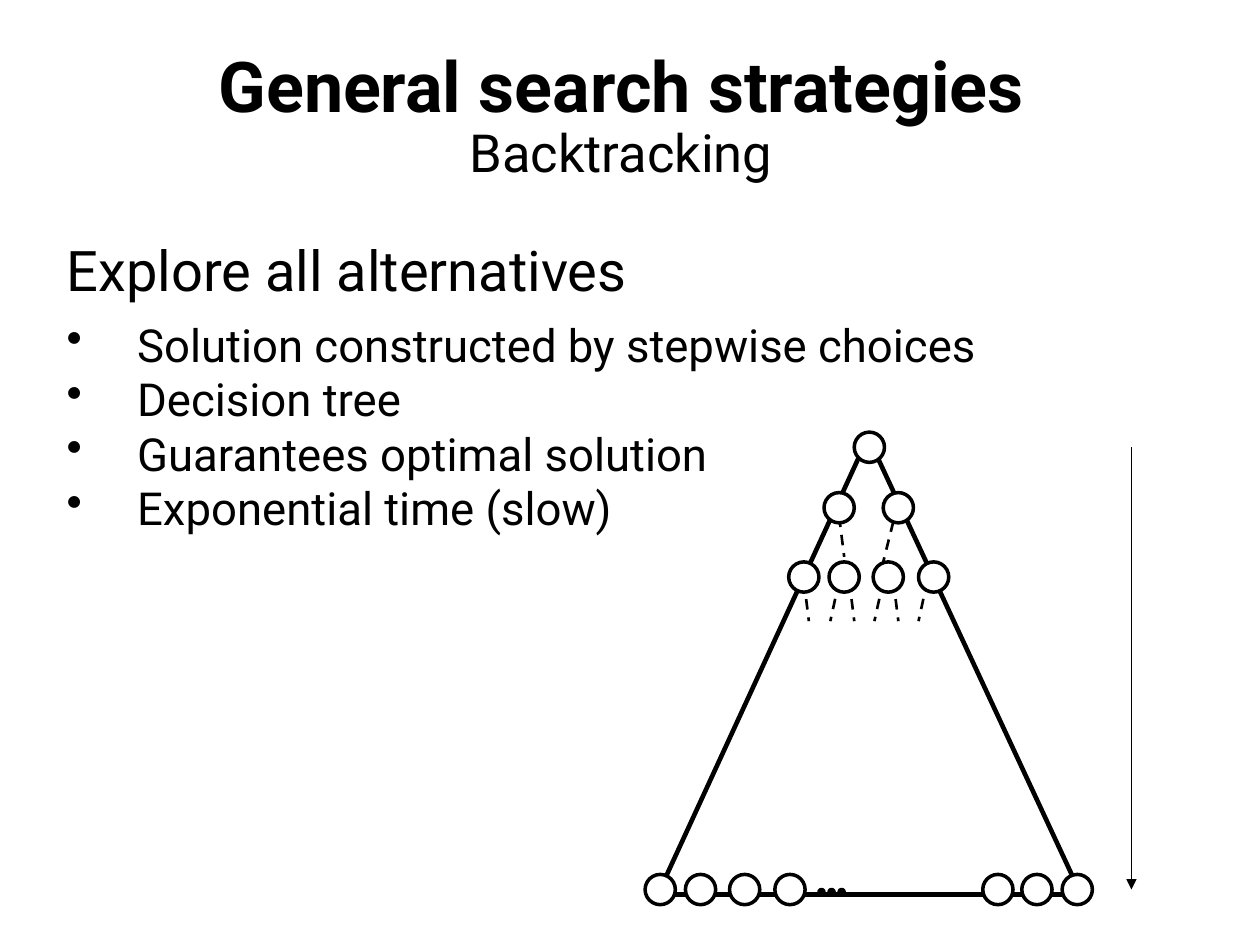
from lxml import etree
from pptx import Presentation
from pptx import util as u
from pptx.dml.color import RGBColor
from pptx.enum import dml, shapes, text
from pptx.oxml.ns import qn

COLORS = {"ink": "000000", "node": "FFFFFF"}
FONT = "Roboto"
INK = RGBColor.from_string(COLORS["ink"])

deck = Presentation()
deck.slide_width, deck.slide_height = u.Inches(10), u.Inches(7.5)
slide = deck.slides.add_slide(deck.slide_layouts[6])
CELL = deck.slide_width / 100  # square grid: 100 columns by 75 rows


def grid(*cells):
    return [round(cell * CELL) for cell in cells]


def add_line(start, end, points, dashed=False):
    line = slide.shapes.add_connector(
        shapes.MSO_CONNECTOR.STRAIGHT, *grid(*start, *end))
    line.line.color.rgb = INK
    line.line.width = u.Pt(points)
    if dashed:
        line.line.dash_style = dml.MSO_LINE.DASH
    etree.SubElement(line._element.spPr, qn("a:effectLst"))
    return line


# Title and subtitle
heading = slide.shapes.add_textbox(*grid(4.3, 2.8, 90, 12.3)).text_frame
heading.word_wrap = True
heading.vertical_anchor = text.MSO_ANCHOR.BOTTOM
title = heading.paragraphs[0]
title.alignment = text.PP_ALIGN.CENTER
title.line_spacing = 0.9
for words, size, bold in [("General search strategies", 40, True),
                          ("Backtracking", 30, False)]:
    if not bold:
        title.add_line_break()
    run = title.add_run()
    run.text = words
    run.font.name, run.font.size, run.font.bold = FONT, u.Pt(size), bold
    run.font.color.rgb = INK

# Lead sentence and its bullets
body = slide.shapes.add_textbox(*grid(4.3, 18.2, 86.2, 52.8)).text_frame
body.word_wrap = True
points = ["Explore all alternatives",
          "Solution constructed by stepwise choices",
          "Decision tree",
          "Guarantees optimal solution",
          "Exponential time (slow)"]
for i, words in enumerate(points):
    point = body.add_paragraph() if i else body.paragraphs[0]
    props = point._p.get_or_add_pPr()
    props.set("marL", str(u.Inches(0.56)))
    props.set("indent", str(u.Inches(-0.56)))
    if i:
        bullet_color = etree.SubElement(props, qn("a:buClr"))
        etree.SubElement(bullet_color, qn("a:srgbClr"), val=COLORS["ink"])
        etree.SubElement(props, qn("a:buChar"), char="•")
    else:
        point.space_after = u.Pt(8)
    run = point.add_run()
    run.text = words
    run.font.name, run.font.size = FONT, u.Pt(26 if i else 32)
    run.font.color.rgb = INK

# Dashed branches, each leaning left or right as it descends
branches = [(73.6, 46.1, -0.7), (66.6, 46.1, -0.7), (70.1, 46.1, -0.7),
            (63.8, 46.1, 0.4), (67.4, 46.1, 0.4), (70.9, 46.1, 0.4),
            (66.6, 41, 0.4), (70.9, 41.4, -0.8)]
for x, y, lean in branches:
    add_line((x, y), (x + lean, y + 3.2), 1.5, dashed=True)

# Outline of the decision tree
root, left, right = (68.9, 34.7), (52.2, 71), (85.8, 71)
for start, end in [(left, (85.4, 71)), (left, root), (root, right)]:
    add_line(start, end, 2.64)

# Tree levels, then the ellipsis between the leaves: top, diameter, fill, lefts
levels = [(34.3, 2.4, "node", [67.8]),
          (39.1, 2.4, "node", [65.4, 70.1]),
          (44.6, 2.4, "node", [62.6, 65.8, 69.3, 72.9]),
          (69.4, 2.4, "node", [51.2, 54.4, 57.9, 61.5, 78, 81.1, 84.3]),
          (70.6, 0.4, "ink", [65, 65.8, 66.6])]
for top, diameter, fill, lefts in levels:
    for x in lefts:
        node = slide.shapes.add_shape(
            shapes.MSO_SHAPE.OVAL, *grid(x, top, diameter, diameter))
        node.shadow.inherit = False
        node.fill.solid()
        node.fill.fore_color.rgb = RGBColor.from_string(COLORS[fill])
        node.line.color.rgb = INK
        node.line.width = u.Pt(2)

# Depth arrow
depth = add_line((89.8, 35.5), (89.8, 70.6), 0.75)
etree.SubElement(depth.line._get_or_add_ln(), qn("a:tailEnd"), type="triangle")

deck.save("out.pptx")
